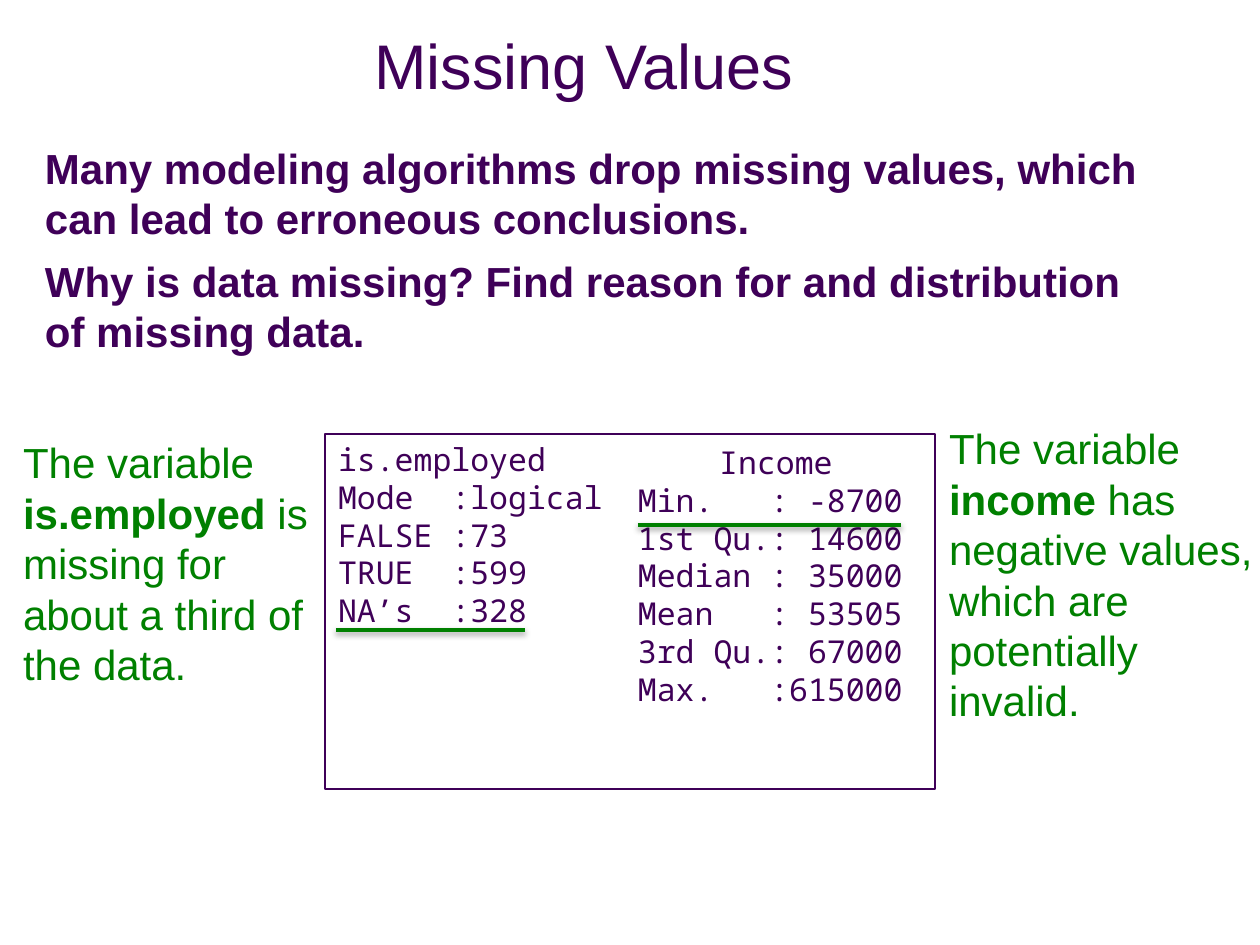
import pptx
import pptx.util
import pptx.dml.color
import pptx.enum.shapes
import pptx.enum.text
import lxml.etree

PX = 914400 / 126
Pt = pptx.util.Pt
Align = pptx.enum.text.PP_ALIGN
Anchor = pptx.enum.text.MSO_ANCHOR
PLUM, GREEN = "3F0058", "008000"
MONO = "Noto Sans Mono"


def px(*nums):
    """Turn pixel lengths into EMU."""
    return [round(n * PX) for n in nums]


def write(shape, paras, size, color, font="Arial", bold=False, inset=(13, 6, 13, 6)):
    """Fill a shape with paragraphs, each a list of runs; odd runs are bold."""
    frame = shape.text_frame
    frame.word_wrap = True
    frame.vertical_anchor = Anchor.TOP
    (frame.margin_left, frame.margin_top,
     frame.margin_right, frame.margin_bottom) = px(*inset)
    for i, runs in enumerate(paras):
        para = frame.paragraphs[0] if i == 0 else frame.add_paragraph()
        para.alignment = Align.LEFT
        para.line_spacing = Pt(size * 1.2)
        for j, text in enumerate(runs):
            run = para.add_run()
            run.text = text
            run.font.name = font
            run.font.size = Pt(size)
            run.font.bold = bold or j % 2 == 1
            run.font.color.rgb = pptx.dml.color.RGBColor.from_string(color)
    return frame


deck = pptx.Presentation()
deck.slide_width, deck.slide_height = px(1260, 945)
slide = deck.slides.add_slide(deck.slide_layouts[5])
shapes = slide.shapes

# Title
title = shapes.title
title.left, title.top, title.width, title.height = px(54, 28, 1060, 73)
frame = write(title, [["Missing Values"]], 36, PLUM)
frame.vertical_anchor = Anchor.MIDDLE
frame.paragraphs[0].alignment = Align.CENTER

# Main points
body = shapes.add_textbox(*px(32, 136, 1134, 231))
frame = write(body, [
    ["Many modeling algorithms drop missing values, which can lead to erroneous conclusions."],
    ["Why is data missing? Find reason for and distribution of missing data."],
], 24, PLUM, bold=True)
for para in frame.paragraphs:
    para.space_before, para.space_after = Pt(2.4), Pt(4.8)

# Summary output in two columns
panel = shapes.add_shape(pptx.enum.shapes.MSO_SHAPE.RECTANGLE, *px(325, 434, 610, 355))
panel.shadow.inherit = False
panel.fill.solid()
panel.fill.fore_color.rgb = pptx.dml.color.RGBColor.from_string("FFFFFF")
panel.line.color.rgb = pptx.dml.color.RGBColor.from_string(PLUM)
panel.line.width = Pt(0.75)
jobs = ["is.employed", "Mode  :logical", "FALSE :73", "TRUE  :599", "NA’s  :328"]
write(panel, [[row] for row in jobs], 18, PLUM, MONO)

income = shapes.add_textbox(*px(638, 437, 276, 278))
stats = ["Income", "Min.   : -8700", "1st Qu.: 14600", "Median : 35000",
         "Mean   : 53505", "3rd Qu.: 67000", "Max.   :615000"]
frame = write(income, [[row] for row in stats], 18, PLUM, MONO, inset=(0, 6, 0, 6))
frame.paragraphs[0].alignment = Align.CENTER

# Side notes
notes = [
    ((10, 437, 299, 255),
     ["The variable ", "is.employed", " is missing for about a third of the data."]),
    ((936, 423, 333, 305),
     ["The variable ", "income", " has negative values, which are potentially invalid."]),
]
for box, runs in notes:
    write(shapes.add_textbox(*px(*box)), [runs], 24, GREEN, inset=(13, 0, 0, 0))

# Underlines with a soft shadow
SHADOW = """<a:effectLst xmlns:a="http://schemas.openxmlformats.org/drawingml/2006/main">
<a:outerShdw blurRad="40000" dist="20000" dir="5400000" rotWithShape="0">
<a:srgbClr val="000000"><a:alpha val="38000"/></a:srgbClr></a:outerShdw></a:effectLst>"""
for left, right, y in [(336, 525, 630), (638, 901, 525)]:
    rule = shapes.add_connector(pptx.enum.shapes.MSO_CONNECTOR.STRAIGHT, *px(left, y, right, y))
    rule.line.color.rgb = pptx.dml.color.RGBColor.from_string(GREEN)
    rule.line.width = Pt(2)
    rule._element.spPr.append(lxml.etree.fromstring(SHADOW))

deck.save("out.pptx")
